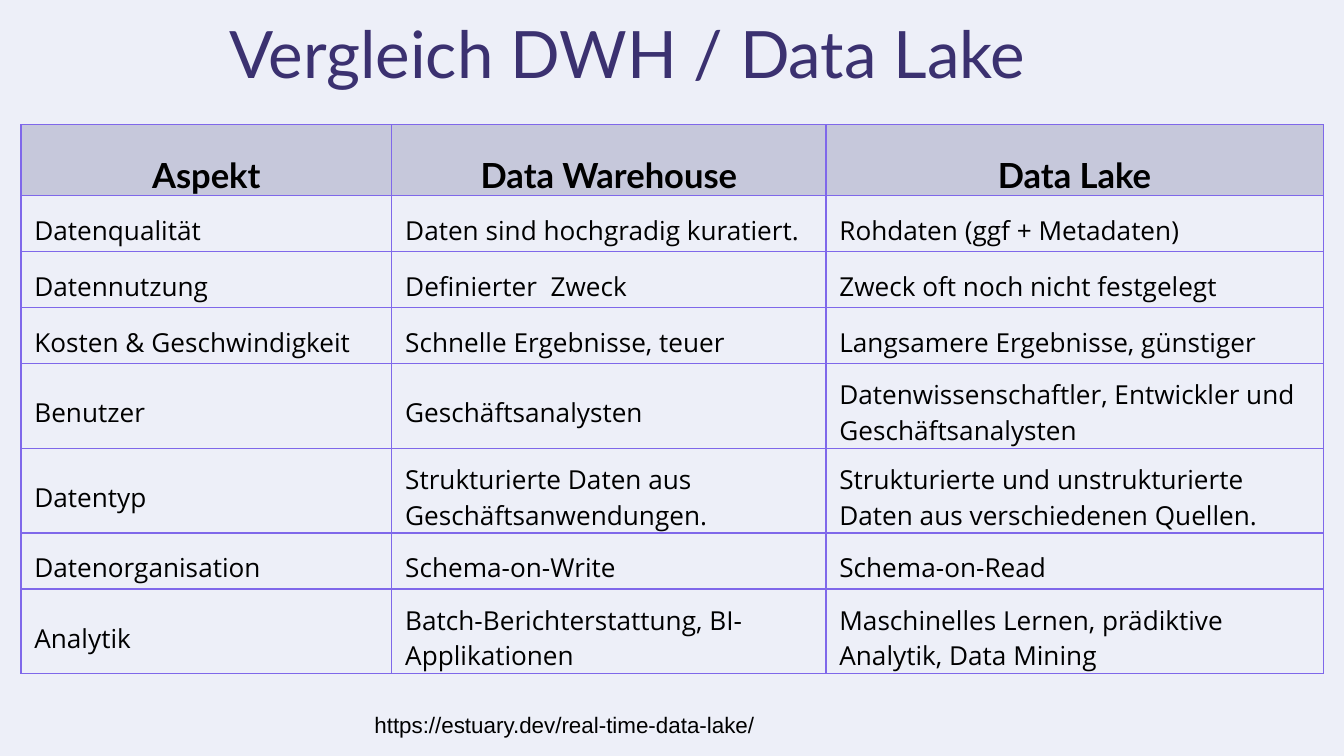
from lxml.etree import SubElement as Sub
from pptx import Presentation
from pptx.dml.color import RGBColor as RGB
from pptx.enum.text import MSO_ANCHOR as Anchor, MSO_AUTO_SIZE as Fit, PP_ALIGN as Align
from pptx.oxml.ns import qn
from pptx.util import Pt

PAPER = RGB(0xED, 0xEF, 0xF8)
HEAD = RGB(0xC6, 0xC8, 0xDB)
RULE = RGB(0x7F, 0x68, 0xEA)
PLUM = RGB(0x3B, 0x31, 0x70)
BLACK = RGB(0, 0, 0)

WIDTHS = [198.7, 232.6, 266.4]
ROWS = [
    ("Aspekt", "Data Warehouse", "Data Lake"),
    ("Datenqualität", "Daten sind hochgradig kuratiert.", "Rohdaten (ggf + Metadaten)"),
    ("Datennutzung", "Definierter  Zweck", "Zweck oft noch nicht festgelegt"),
    ("Kosten & Geschwindigkeit", "Schnelle Ergebnisse, teuer",
     "Langsamere Ergebnisse, günstiger"),
    ("Benutzer", "Geschäftsanalysten",
     "Datenwissenschaftler, Entwickler und Geschäftsanalysten"),
    ("Datentyp", "Strukturierte Daten aus Geschäftsanwendungen.",
     "Strukturierte und unstrukturierte Daten aus verschiedenen Quellen."),
    ("Datenorganisation", "Schema-on-Write", "Schema-on-Read"),
    ("Analytik", "Batch-Berichterstattung, BI-Applikationen",
     "Maschinelles Lernen, prädiktive Analytik, Data Mining"),
]


class Deck:
    inset = 7.2
    row = 30
    rule = 0.75

    def __init__(self, width, height):
        self.file = Presentation()
        self.file.slide_width, self.file.slide_height = Pt(width), Pt(height)
        self.slide = self.file.slides.add_slide(self.file.slide_layouts[5])
        fill = self.slide.background.fill
        fill.solid()
        fill.fore_color.rgb = PAPER

    def put(self, frame, text, face, size, color=BLACK, bold=False, align=Align.LEFT):
        para = frame.paragraphs[0]
        para.alignment = align
        run = para.add_run()
        run.text = text
        font = run.font
        font.name, font.size, font.bold = face, Pt(size), bold
        font.color.rgb = color
        return para

    def setup(self, frame):
        frame.word_wrap = True
        frame.auto_size = Fit.NONE
        frame.vertical_anchor = Anchor.TOP
        frame.margin_left = frame.margin_right = Pt(self.inset)
        frame.margin_top = frame.margin_bottom = Pt(self.inset)

    def title(self, text, left, top, width, height):
        box = self.slide.shapes.title
        box.left, box.top, box.width, box.height = map(Pt, (left, top, width, height))
        self.setup(box.text_frame)
        self.put(box.text_frame, text, "Lato", 35, PLUM, align=Align.CENTER)

    def label(self, text, left, top, width, height):
        box = self.slide.shapes.add_textbox(*map(Pt, (left, top, width, height)))
        self.setup(box.text_frame)
        self.put(box.text_frame, text, "Arial", 12)

    def border(self, cell):
        props = cell._tc.get_or_add_tcPr()
        for side in ("lnL", "lnR", "lnT", "lnB"):
            line = Sub(props, qn(f"a:{side}"), w=str(Pt(self.rule)))
            fill = Sub(line, qn("a:solidFill"))
            Sub(fill, qn("a:srgbClr"), val=str(RULE))

    def cell(self, cell, text, head):
        self.border(cell)
        cell.margin_left = cell.margin_right = Pt(self.inset)
        cell.margin_bottom = 0
        if head:
            cell.fill.solid()
            cell.fill.fore_color.rgb = HEAD
            cell.margin_top = 0
            cell.vertical_anchor = Anchor.BOTTOM
            para = self.put(cell.text_frame, text, "Lato", 18.5, bold=True,
                            align=Align.CENTER)
            para.line_spacing = 1.71
        else:
            cell.fill.background()
            cell.margin_top = Pt(self.inset)
            cell.vertical_anchor = Anchor.MIDDLE
            self.put(cell.text_frame, text, "Open Sans", 14)

    def table(self, rows, widths, left, top):
        size = (left, top, sum(widths), self.row * len(rows))
        table = self.slide.shapes.add_table(len(rows), len(widths), *map(Pt, size)).table
        table.first_row = table.horz_banding = False
        for col, width in zip(table.columns, widths):
            col.width = Pt(width)
        for r, texts in enumerate(rows):
            table.rows[r].height = Pt(self.row)
            for c, text in enumerate(texts):
                self.cell(table.cell(r, c), text, r == 0)


def main():
    deck = Deck(720, 405)
    # Heading
    deck.title("Vergleich DWH / Data Lake", 108, 0, 456.5, 57)
    # Comparison
    deck.table(ROWS, WIDTHS, 11.2, 66.8)
    # Source link
    deck.label("https://estuary.dev/real-time-data-lake/", 193.5, 373.7, 306.7, 28.8)
    deck.file.save("out.pptx")


if __name__ == "__main__":
    main()
